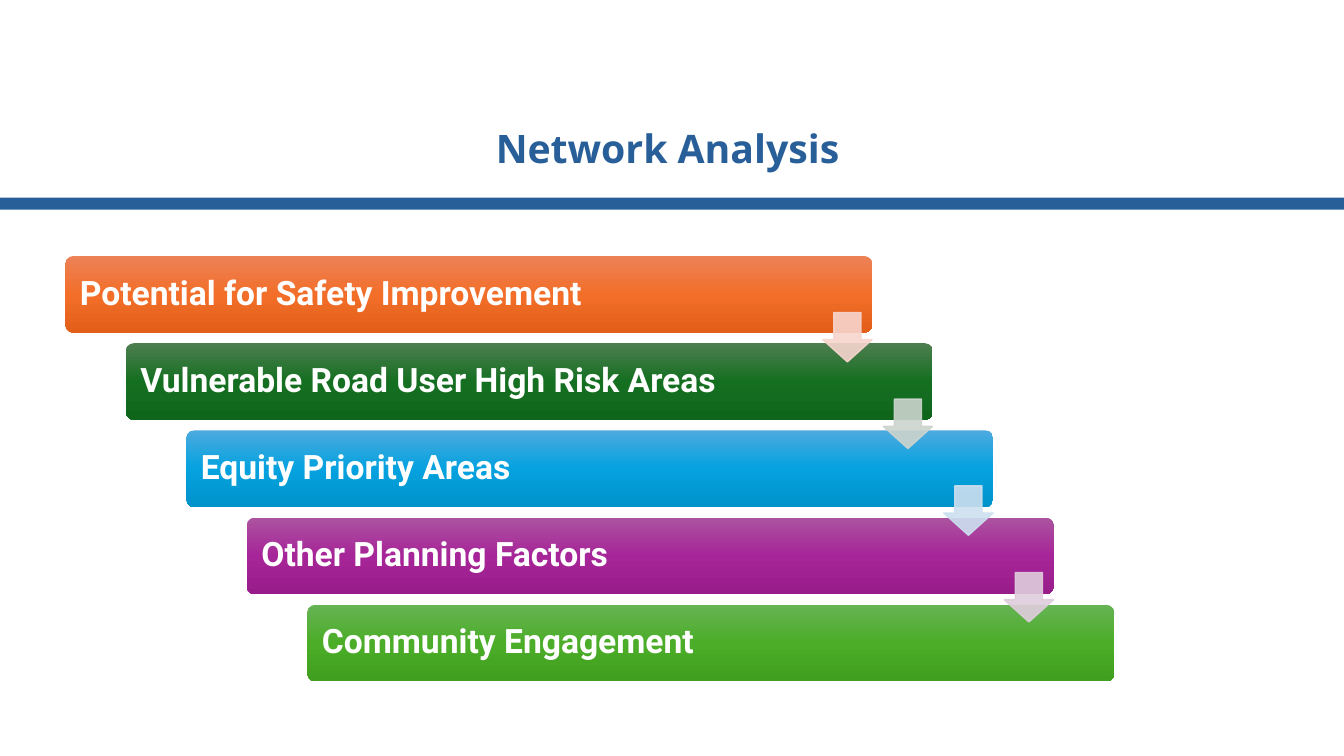
from copy import deepcopy

from pptx import Presentation
from pptx import util as u
from pptx.dml.color import RGBColor
from pptx.enum import shapes, text
from pptx.oxml import ns, xmlchemy

W, H = 13.33, 7.5
LEFT, TOP = 0.65, 2.54
STEP_X, STEP_Y = 0.6, 0.865
BAR_W, BAR_H = 8, 0.76
ARROW = 0.49
BLUE = "295F99"

BARS = [
    ("Potential for Safety Improvement", ("ED8257", "F26E29", "E25F1A"), "F7D5CE"),
    ("Vulnerable Road User High Risk Areas", ("4D7E50", "156F21", "0F661B"), "CCD4CD"),
    ("Equity Priority Areas", ("4CAADF", "05A2DF", "0092CB"), "CCDFEF"),
    ("Other Planning Factors", ("AC53A0", "A62598", "991C8B"), "DFCDDC"),
    ("Community Engagement", ("66B354", "4BAD28", "409F1E"), None),
]


def add_shape(kind, x, y, w, h, adjustments=()):
    sp = s.shapes.add_shape(kind, *(u.Inches(v) for v in (x, y, w, h)))
    sp.shadow.inherit = False
    sp.line.fill.background()
    for i, value in enumerate(adjustments):
        sp.adjustments[i] = value
    return sp


def write(sp, words, size, font, color, align, frame):
    tf = sp.text_frame
    for name, value in frame.items():
        setattr(tf, name, value)
    p = tf.paragraphs[0]
    p.alignment = align
    r = p.add_run()
    r.text = words
    for name, value in {"size": u.Pt(size), "name": font, "bold": True}.items():
        setattr(r.font, name, value)
    r.font.color.rgb = RGBColor.from_string(color)
    return p


prs = Presentation()
prs.slide_width, prs.slide_height = u.Inches(W), u.Inches(H)
s = prs.slides.add_slide(prs.slide_layouts[5])

rule = add_shape(shapes.MSO_SHAPE.RECTANGLE, 0, 1.96, W, 0.12)
rule.fill.solid()
rule.fill.fore_color.rgb = RGBColor.from_string(BLUE)

title = s.shapes.title
for name, value in {"left": 3.83, "top": 1.18, "width": 5.58, "height": 0.57}.items():
    setattr(title, name, u.Inches(value))
write(title, "Network Analysis", 28, "Noto Sans", BLUE, text.PP_ALIGN.CENTER,
      {"vertical_anchor": text.MSO_ANCHOR.TOP, "auto_size": text.MSO_AUTO_SIZE.NONE,
       "word_wrap": True})

bar_frame = {"vertical_anchor": text.MSO_ANCHOR.MIDDLE, "word_wrap": True,
             "margin_left": u.Inches(0.12), "margin_right": u.Inches(0.12)}

for i, (words, colors, _) in enumerate(BARS):
    sp = add_shape(shapes.MSO_SHAPE.ROUNDED_RECTANGLE,
                   LEFT + i * STEP_X, TOP + i * STEP_Y, BAR_W, BAR_H, [0.1])
    sp.fill.gradient()
    sp.fill.gradient_angle = 270
    stops = sp._element.spPr.find(".//" + ns.qn("a:gsLst"))
    stops.append(deepcopy(stops[-1]))
    for stop, position, color in zip(sp.fill.gradient_stops, (0, 0.5, 1), colors):
        stop.position = position
        stop.color.rgb = RGBColor.from_string(color)
    p = write(sp, words, 24, "Roboto", "FFFFFF", text.PP_ALIGN.LEFT, bar_frame)
    p.line_spacing = 0.9

for i, (_, _, color) in enumerate(BARS[:-1]):
    sp = add_shape(shapes.MSO_SHAPE.DOWN_ARROW,
                   LEFT + BAR_W - ARROW + i * STEP_X, 3.1 + i * 0.86,
                   ARROW, ARROW, [0.55, 0.45])
    sp.line.width = u.Pt(1)
    for fill in (sp.fill, sp.line.fill):
        fill.solid()
        fill.fore_color.rgb = RGBColor.from_string(color)
    for clr in sp._element.spPr.iter(ns.qn("a:srgbClr")):
        alpha = xmlchemy.OxmlElement("a:alpha")
        alpha.set("val", "90000")
        clr.append(alpha)

prs.save("out.pptx")
